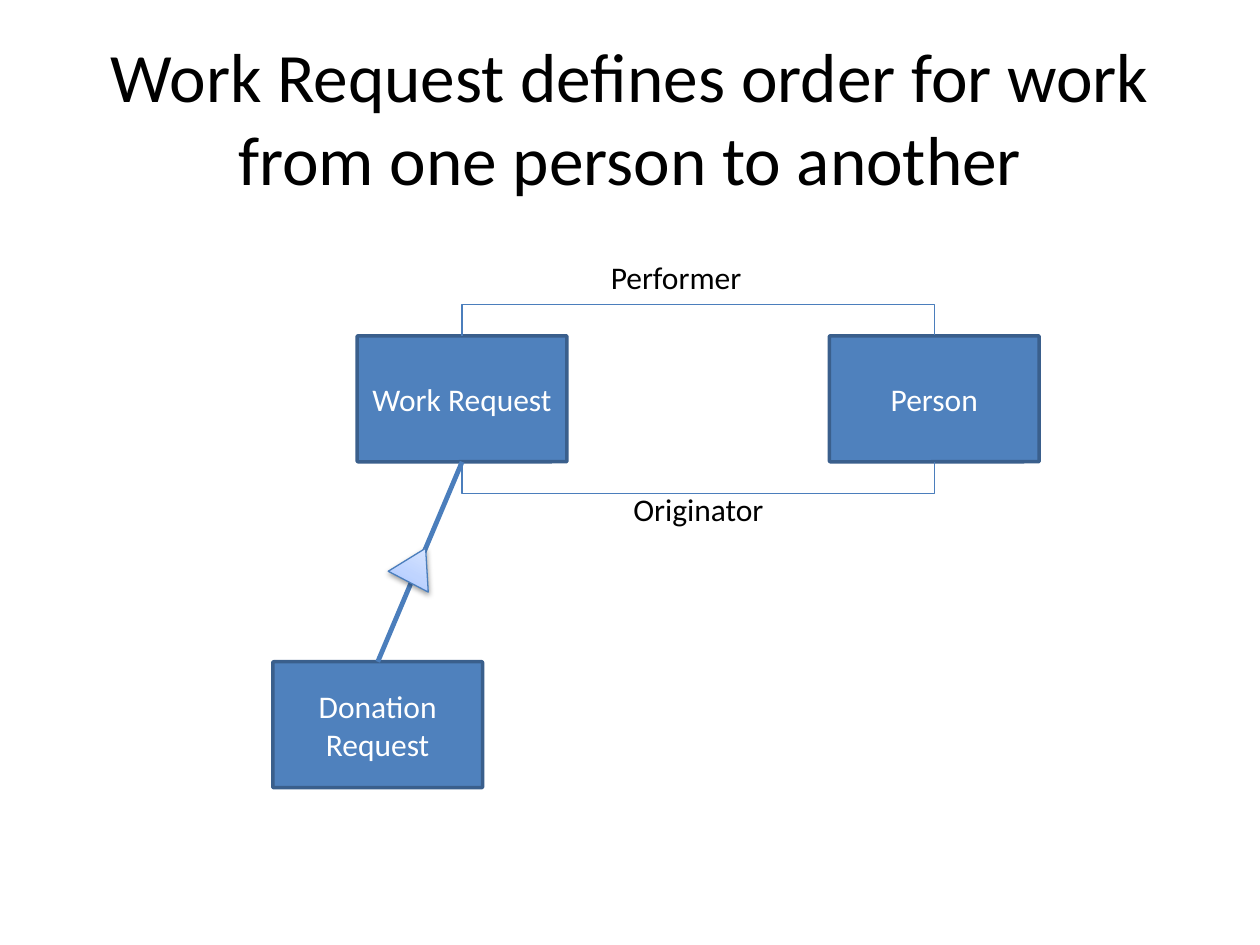
"""Builds a slide showing how a work request links two people."""
from lxml import etree
from pptx import Presentation
from pptx.dml.color import RGBColor
from pptx.enum.shapes import MSO_CONNECTOR, MSO_SHAPE
from pptx.enum.text import MSO_ANCHOR, MSO_AUTO_SIZE, PP_ALIGN
from pptx.oxml import parse_xml
from pptx.oxml.ns import qn
from pptx.util import Cm, Pt

STRAIGHT, ELBOW = MSO_CONNECTOR.STRAIGHT, MSO_CONNECTOR.ELBOW
ROUNDED, EXTRACT = MSO_SHAPE.ROUNDED_RECTANGLE, MSO_SHAPE.FLOWCHART_EXTRACT
MIDDLE, CENTER = MSO_ANCHOR.MIDDLE, PP_ALIGN.CENTER
FIT_SHAPE = MSO_AUTO_SIZE.SHAPE_TO_FIT_TEXT
TOP, BOTTOM = 0, 2

BLACK = RGBColor(0x00, 0x00, 0x00)
WHITE = RGBColor(0xFF, 0xFF, 0xFF)
BLUE = RGBColor(0x4F, 0x81, 0xBD)
BORDER = RGBColor(0x3A, 0x5F, 0x8C)
LINE = RGBColor(0x4B, 0x7E, 0xBC)
GRADIENT = {0: RGBColor(0xA4, 0xC4, 0xFF), 35: RGBColor(0xBF, 0xD4, 0xFF),
            100: RGBColor(0xE6, 0xEE, 0xFF)}

NAMESPACE = 'xmlns:a="http://schemas.openxmlformats.org/drawingml/2006/main"'
BOX_WIDTH, BOX_HEIGHT = 4.23, 2.54
BOX_TOP = 6.77
BEND, THIN = 0.64, 0.01
BENDS = {
    TOP: {"rot": "5400000", "flipH": "1", "flipV": "1"},
    BOTTOM: {"rot": "16200000", "flipH": "1"},
}


class Diagram:
    """Holds the text style and the slide, and draws each kind of element."""

    def __init__(self, slide, font="Calibri", size=18):
        self.slide = slide
        self.font = font
        self.size = size

    def set_text(self, shape, text, color, size=None):
        frame = shape.text_frame
        frame.text = text
        frame.vertical_anchor = MIDDLE
        paragraph = frame.paragraphs[0]
        paragraph.alignment = CENTER
        font = paragraph.runs[0].font
        style = {"name": self.font, "size": Pt(size or self.size)}
        for name, value in style.items():
            setattr(font, name, value)
        font.color.rgb = color

    def outline(self, shape, color, width):
        shape.line.color.rgb = color
        shape.line.width = Pt(width)

    def title(self, text, left, top, width, height):
        title = self.slide.shapes.title
        place = {"left": left, "top": top, "width": width, "height": height}
        for name, value in place.items():
            setattr(title, name, Cm(value))
        self.set_text(title, text, BLACK, 39.6)

    def box(self, text, left, top):
        box = self.slide.shapes.add_shape(
            ROUNDED, Cm(left), Cm(top), Cm(BOX_WIDTH), Cm(BOX_HEIGHT))
        box.adjustments[0] = 0.01
        box.shadow.inherit = False
        box.fill.solid()
        box.fill.fore_color.rgb = BLUE
        self.outline(box, BORDER, 2)
        self.set_text(box, text, WHITE)
        return box

    def label(self, text, left, top):
        label = self.slide.shapes.add_textbox(
            Cm(left), Cm(top), Cm(3.18), Cm(1.02))
        self.set_text(label, text, BLACK)
        label.text_frame.word_wrap = False
        label.text_frame.auto_size = FIT_SHAPE

    def connector(self, kind, begin, begin_side, end, end_side, width):
        connector = self.slide.shapes.add_connector(kind, 0, 0, 0, 0)
        connector.begin_connect(begin, begin_side)
        connector.end_connect(end, end_side)
        self.outline(connector, LINE, width)
        etree.SubElement(connector._element.spPr, qn("a:effectLst"))
        return connector

    def bracket(self, begin, end, side):
        connector = self.connector(ELBOW, begin, side, end, side, 0.75)
        span = connector.width
        middle, level = connector.left + span // 2, connector.top
        place = {"left": middle - Cm(THIN) // 2, "top": level - span // 2,
                 "width": Cm(THIN), "height": span}
        for name, value in place.items():
            setattr(connector, name, value)
        properties = connector._element.spPr
        for name, value in BENDS[side].items():
            properties.find(qn("a:xfrm")).set(name, value)
        guides = properties.find(qn("a:prstGeom")).find(qn("a:avLst"))
        bend = round(BEND / THIN * 100000)
        etree.SubElement(guides, qn("a:gd"), name="adj1", fmla=f"val {bend}")

    def triangle(self, left, top, width, height, rotation):
        triangle = self.slide.shapes.add_shape(
            EXTRACT, Cm(left), Cm(top), Cm(width), Cm(height))
        triangle.rotation = rotation
        self.outline(triangle, LINE, 0.75)
        stops = "".join(
            f'<a:gs pos="{position * 1000}"><a:srgbClr val="{color}"/></a:gs>'
            for position, color in GRADIENT.items())
        properties = triangle._element.spPr
        properties.find(qn("a:ln")).addprevious(parse_xml(
            f'<a:gradFill {NAMESPACE} rotWithShape="1"><a:gsLst>{stops}'
            '</a:gsLst><a:lin ang="16200000" scaled="0"/></a:gradFill>'))
        properties.append(parse_xml(
            f'<a:effectLst {NAMESPACE}><a:outerShdw blurRad="{Pt(3.1)}" '
            f'dist="{Pt(1.6)}" dir="5400000" rotWithShape="0">'
            f'<a:srgbClr val="{BLACK}"><a:alpha val="38000"/></a:srgbClr>'
            '</a:outerShdw></a:effectLst>'))


def main():
    presentation = Presentation()
    presentation.slide_width, presentation.slide_height = Cm(25.4), Cm(19.05)
    layout = presentation.slide_layouts[5]
    diagram = Diagram(presentation.slides.add_slide(layout))
    diagram.title("Work Request defines order for work from one person to another",
                  1.27, 0.76, 22.86, 3.18)
    donation = diagram.box("Donation Request", 5.5, 13.34)
    person = diagram.box("Person", 16.72, BOX_TOP)
    request = diagram.box("Work Request", 7.2, BOX_TOP)
    for side in (TOP, BOTTOM):
        diagram.bracket(request, person, side)
    diagram.label("Performer", 12.04, 5.08)
    diagram.label("Originator", 12.49, 9.74)
    diagram.connector(STRAIGHT, donation, TOP, request, BOTTOM, 2.75)
    diagram.triangle(7.95, 11.01, 0.91, 0.76, 27.5)
    presentation.save("out.pptx")


if __name__ == "__main__":
    main()
